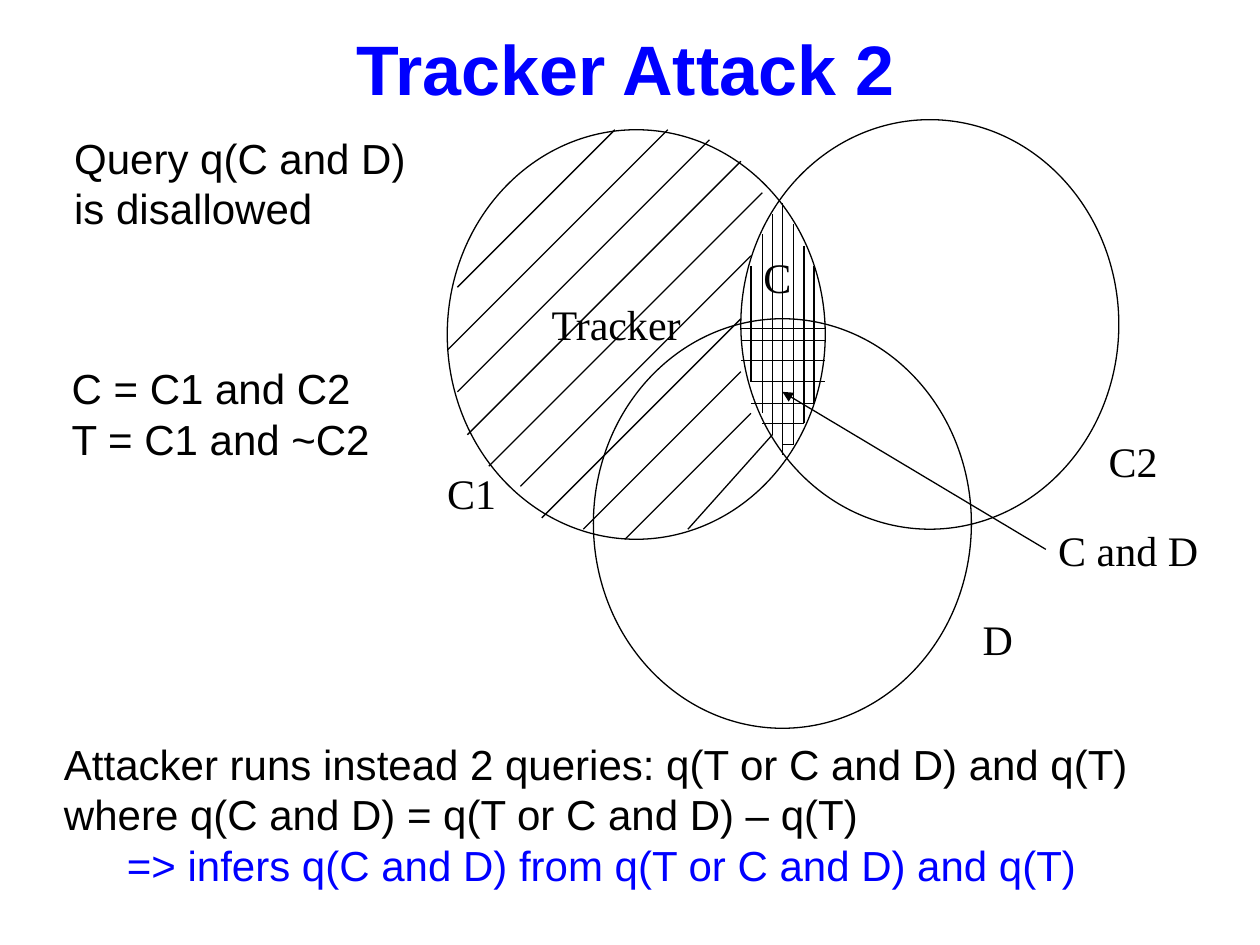
from dataclasses import dataclass

from lxml.etree import SubElement
from pptx import Presentation
from pptx.dml.color import RGBColor
from pptx.enum.shapes import MSO_CONNECTOR, MSO_SHAPE
from pptx.enum.text import MSO_ANCHOR, MSO_AUTO_SIZE, PP_ALIGN
from pptx.oxml.ns import qn
from pptx.slide import Slide
from pptx.util import Inches, Pt

BLACK = RGBColor(0x00, 0x00, 0x00)
BLUE = RGBColor(0x00, 0x00, 0xFF)
SANS = "Arial"
SERIF = "Times New Roman"


@dataclass
class VennSlide:
    """Draws styled text, circles and hatching on the current slide."""

    slide: Slide
    text_size: int = 24
    title_size: int = 40
    line_width: float = 0.75
    circle_size: tuple = (3, 3.25)

    def format(self, paragraph, font_name, size, color=BLACK):
        paragraph.font.name = font_name
        paragraph.font.size = Pt(size)
        paragraph.font.color.rgb = color

    def title(self, text, left, top, width, height):
        heading = self.slide.shapes.title
        heading.left, heading.top = Inches(left), Inches(top)
        heading.width, heading.height = Inches(width), Inches(height)
        frame = heading.text_frame
        frame.text = text
        frame.auto_size = MSO_AUTO_SIZE.NONE
        frame.vertical_anchor = MSO_ANCHOR.BOTTOM
        paragraph = frame.paragraphs[0]
        paragraph.alignment = PP_ALIGN.CENTER
        paragraph.font.bold = True
        self.format(paragraph, SANS, self.title_size, BLUE)

    def text(self, lines, left, top, width, height, font_name=SANS, wrap=False):
        box = self.slide.shapes.add_textbox(
            Inches(left), Inches(top), Inches(width), Inches(height))
        frame = box.text_frame
        frame.text = "\n".join(lines)
        frame.word_wrap = wrap
        frame.auto_size = MSO_AUTO_SIZE.SHAPE_TO_FIT_TEXT
        for paragraph in frame.paragraphs:
            self.format(paragraph, font_name, self.text_size)
        return frame

    def label(self, text, left, top, width):
        self.text([text], left, top, width, 0.5, SERIF)

    def circle(self, left, top):
        width, height = self.circle_size
        outline = self.slide.shapes.add_shape(
            MSO_SHAPE.OVAL, Inches(left), Inches(top), Inches(width), Inches(height))
        outline.shadow.inherit = False
        outline.fill.background()
        outline.line.color.rgb = BLACK
        outline.line.width = Pt(self.line_width)

    def line(self, x1, y1, x2, y2, arrow=False):
        stroke = self.slide.shapes.add_connector(
            MSO_CONNECTOR.STRAIGHT, Inches(x1), Inches(y1), Inches(x2), Inches(y2))
        stroke.line.color.rgb = BLACK
        stroke.line.width = Pt(self.line_width)
        if arrow:
            SubElement(stroke.line._get_or_add_ln(), qn("a:tailEnd"), type="triangle")
        SubElement(stroke._element.spPr, qn("a:effectLst"))


def main():
    presentation = Presentation()
    presentation.slide_width, presentation.slide_height = Inches(10), Inches(7.5)
    venn = VennSlide(presentation.slides.add_slide(presentation.slide_layouts[5]))

    venn.title("Tracker Attack 2", 0.12, 0.13, 9.69, 0.79)
    venn.text(["C = C1 and C2", "T = C1 and ~C2"], 0.47, 2.83, 2.59, 0.91)

    for left, top in [(3.55, 1.03), (5.88, 0.95), (4.71, 2.53)]:
        venn.circle(left, top)

    tracker_hatching = [
        (4.88, 1.03, 1.25), (5.3, 1.03, 1.75), (5.63, 1.11, 2),
        (5.88, 1.28, 2.17), (6.05, 1.53, 2.17), (5.96, 2.03, 1.83),
        (5.88, 2.53, 1.58), (5.88, 2.95, 1.25), (5.96, 3.28, 1),
    ]
    for x, y, reach in tracker_hatching:
        venn.line(x, y, x - reach, y + reach)
    venn.line(6.13, 3.45, 5.46, 4.2)

    c_hatching = [
        (5.96, 2.11, 3.03), (6.05, 1.86, 3.28), (6.13, 1.7, 3.45), (6.21, 1.61, 3.61),
        (6.3, 1.78, 3.53), (6.38, 1.95, 3.36), (6.46, 2.11, 3.2),
    ]
    for x, top, bottom in c_hatching:
        venn.line(x, top, x, bottom)

    c_and_d_hatching = [
        (2.61, 5.88, 6.55), (2.7, 5.88, 6.55), (2.86, 5.88, 6.55), (3.03, 5.96, 6.55),
        (3.2, 5.96, 6.46), (3.36, 6.05, 6.38), (3.53, 6.21, 6.3),
    ]
    for y, left, right in c_and_d_hatching:
        venn.line(left, y, right, y)

    region_labels = [
        ("Tracker", 4.28, 2.32, 1.24), ("C", 5.96, 1.95, 0.42),
        ("C1", 3.45, 3.66, 0.59), ("C2", 8.7, 3.41, 0.59),
        ("D", 7.7, 4.82, 0.44), ("C and D", 8.3, 4.11, 1.31),
    ]
    for region in region_labels:
        venn.label(*region)
    venn.line(8.3, 4.36, 6.21, 3.11, arrow=True)

    venn.text(["Query q(C and D)", "is disallowed"], 0.49, 1, 3.51, 0.91, wrap=True)
    attack = venn.text([
        "Attacker runs instead 2 queries: q(T or C and D) and q(T)",
        "where q(C and D) = q(T or C and D) – q(T)",
        "\t=> infers q(C and D) from q(T or C and D) and q(T)",
    ], 0.41, 5.81, 9.26, 1.31, wrap=True)
    attack.paragraphs[-1].font.color.rgb = BLUE

    presentation.save("out.pptx")


if __name__ == "__main__":
    main()
